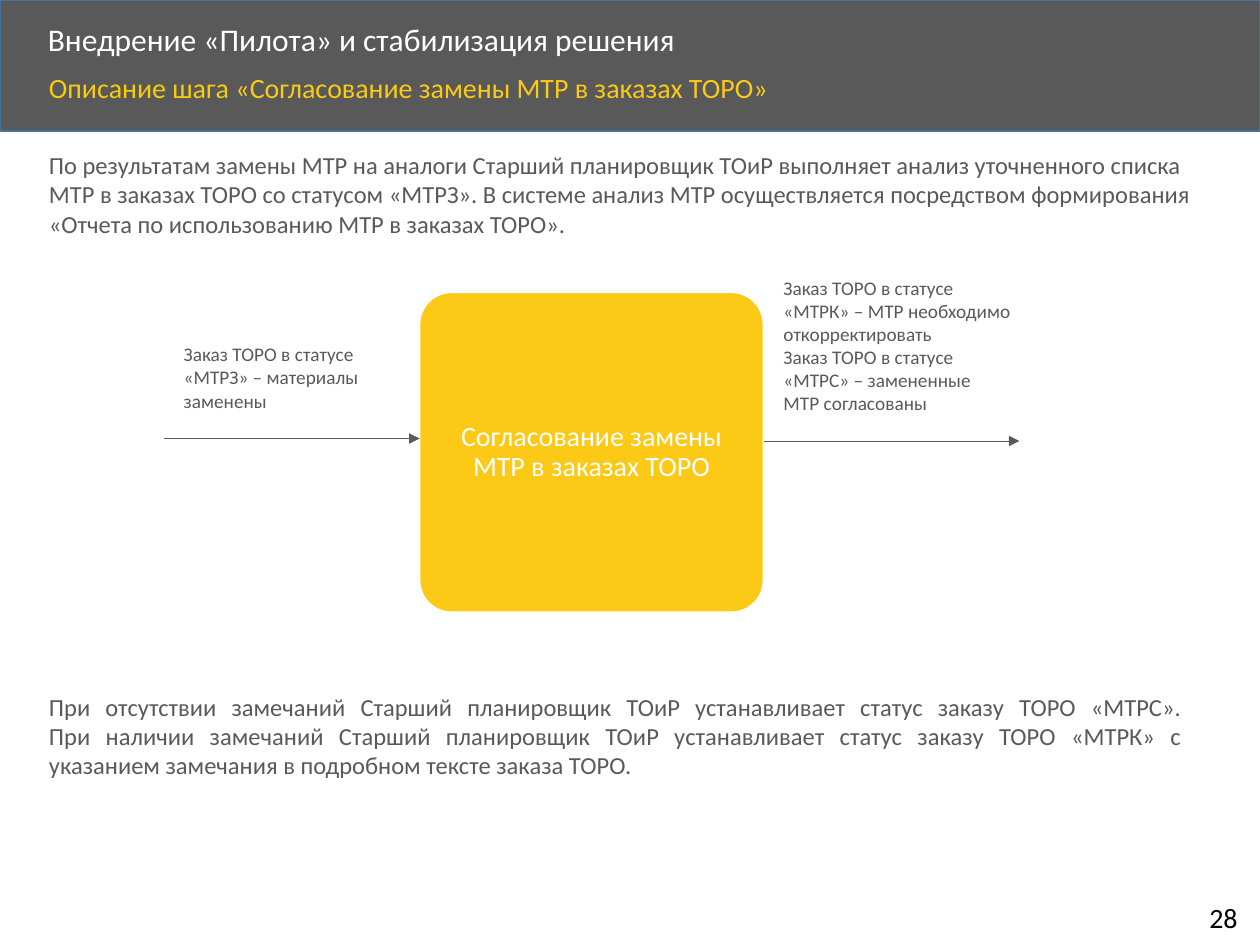
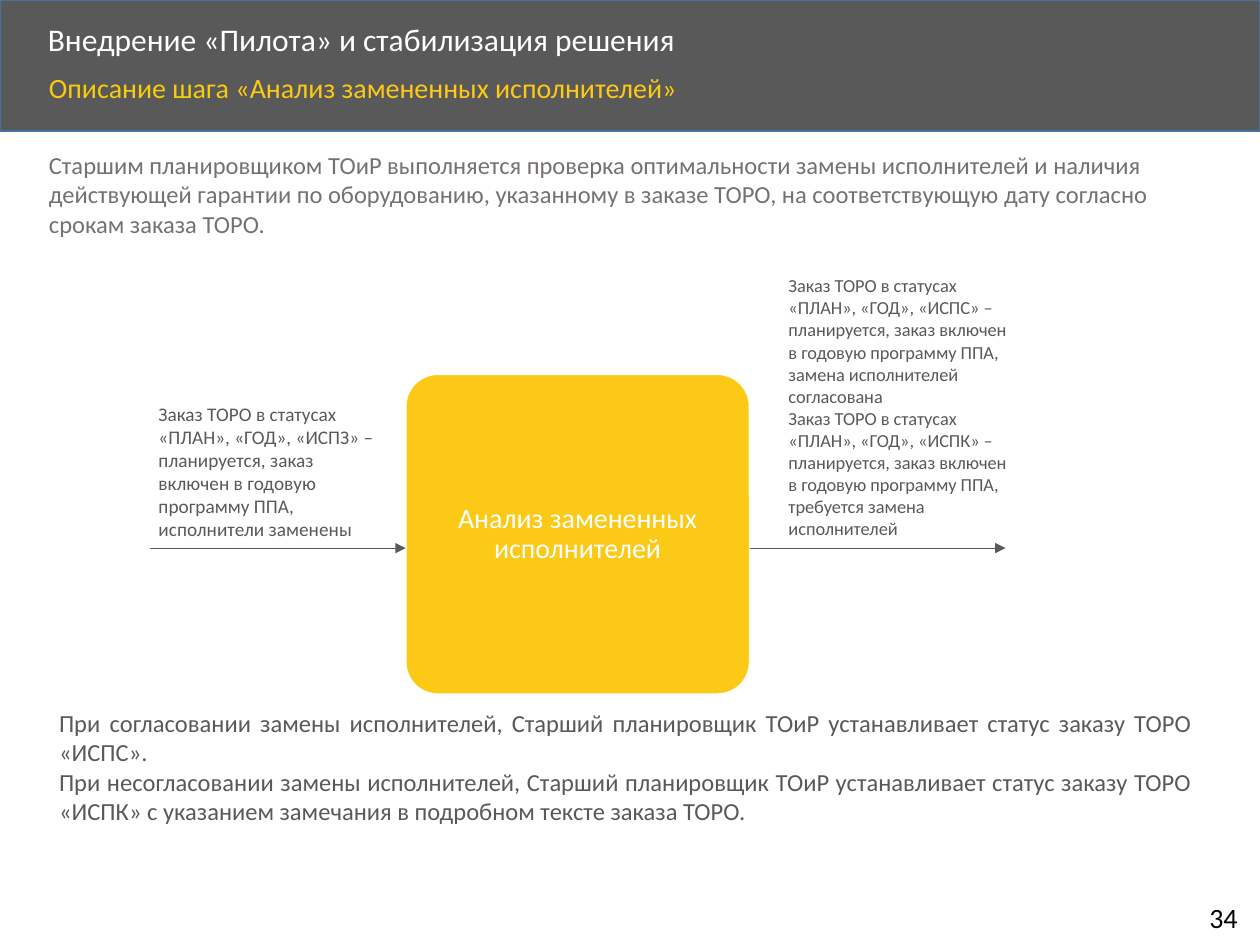
import copy
from dataclasses import dataclass
from typing import Any, NamedTuple

import pptx
import pptx.dml.color
import pptx.enum.shapes
import pptx.enum.text
import pptx.oxml
import pptx.oxml.ns
import pptx.util

Colour = pptx.dml.color.RGBColor
Align = pptx.enum.text.PP_ALIGN
Anchor = pptx.enum.text.MSO_ANCHOR
Fit = pptx.enum.text.MSO_AUTO_SIZE
Preset = pptx.enum.shapes.MSO_SHAPE

GREY = Colour(0x59, 0x59, 0x59)
WARM_GREY = Colour(0x76, 0x71, 0x71)
BLUE = Colour(0x43, 0x73, 0x9E)
YELLOW = Colour(0xFC, 0xC9, 0x17)
DARK_YELLOW = Colour(0xF6, 0xCC, 0x0C)
WHITE = Colour(0xFF, 0xFF, 0xFF)
BLACK = Colour(0, 0, 0)

FONT = "Calibri"
COLUMNS, ROWS = 100, 75
PAGE_WIDTH, PAGE_HEIGHT = pptx.util.Inches(10), pptx.util.Inches(7.5)
BLOCK_WIDTH, BLOCK_HEIGHT = 27.3, 25.4
ARROW_LENGTH = 20.3
LABEL_WIDTH = 20
BODY_WIDTH = 91.9
SECTION_TITLE = "Внедрение «Пилота» и стабилизация решения"


class Area(NamedTuple):
    """Left, top, width and height in columns and rows of the page grid."""
    left: float
    top: float
    width: float
    height: float


class Span(NamedTuple):
    text: str
    colour: Colour


@dataclass(frozen=True)
class Label:
    left: float
    top: float
    height: float
    size: float
    paragraphs: tuple[str, ...]


@dataclass(frozen=True)
class Step:
    number: str
    name: str
    intro: str
    intro_colour: Colour
    block_left: float
    block_top: float
    arrow_rows: tuple[float, float]
    incoming: Label
    outgoing: Label
    conclusion: Label


STEPS = (
    Step(
        number="28",
        name="Согласование замены МТР в заказах ТОРО",
        intro="По результатам замены МТР на аналоги Старший планировщик ТОиР выполняет "
              "анализ уточненного списка МТР в заказах ТОРО со статусом «МТРЗ». В системе "
              "анализ МТР осуществляется посредством формирования «Отчета по использованию "
              "МТР в заказах ТОРО».",
        intro_colour=GREY,
        block_left=33.3,
        block_top=23.2,
        arrow_rows=(34.8, 35),
        incoming=Label(13.6, 26.7, 6.6, 11, (
            "Заказ ТОРО в статусе «МТРЗ» – материалы заменены",)),
        outgoing=Label(61.2, 21.4, 14, 11, (
            "Заказ ТОРО в статусе «МТРК» – МТР необходимо откорректировать",
            "Заказ ТОРО в статусе «МТРС» – замененные МТР согласованы")),
        conclusion=Label(2.9, 54.4, 8.1, 14, (
            "При отсутствии замечаний Старший планировщик ТОиР устанавливает статус заказу "
            "ТОРО «МТРС».\nПри наличии замечаний Старший планировщик ТОиР устанавливает "
            "статус заказу ТОРО «МТРК» с указанием замечания в подробном тексте заказа "
            "ТОРО.",)),
    ),
    Step(
        number="34",
        name="Анализ замененных исполнителей",
        intro="Старшим планировщиком ТОиР выполняется проверка оптимальности замены "
              "исполнителей и наличия действующей гарантии по оборудованию, указанному в "
              "заказе ТОРО, на соответствующую дату согласно срокам заказа ТОРО.",
        intro_colour=WARM_GREY,
        block_left=32.2,
        block_top=29.7,
        arrow_rows=(43.5, 43.5),
        incoming=Label(11.6, 31.4, 12.1, 11, (
            "Заказ ТОРО в статусах «ПЛАН», «ГОД», «ИСПЗ» – планируется, заказ включен в "
            "годовую программу ППА, исполнители заменены",)),
        outgoing=Label(61.6, 21.3, 22.2, 10.5, (
            "Заказ ТОРО в статусах «ПЛАН», «ГОД», «ИСПС» – планируется, заказ включен в "
            "годовую программу ППА, замена исполнителей согласована",
            "Заказ ТОРО в статусах «ПЛАН», «ГОД», «ИСПК» – планируется, заказ включен в "
            "годовую программу ППА, требуется замена исполнителей")),
        conclusion=Label(3.7, 55.7, 10.4, 14, (
            "При согласовании замены исполнителей, Старший планировщик ТОиР устанавливает "
            "статус заказу ТОРО «ИСПС».",
            "При несогласовании замены исполнителей, Старший планировщик ТОиР устанавливает "
            "статус заказу ТОРО «ИСПК» с указанием замечания в подробном тексте заказа "
            "ТОРО.")),
    ),
)


def across(columns: float) -> int:
    return round(PAGE_WIDTH * columns / COLUMNS)


def down(rows: float) -> int:
    return round(PAGE_HEIGHT * rows / ROWS)


def to_lengths(area: Area) -> tuple[int, int, int, int]:
    return across(area.left), down(area.top), across(area.width), down(area.height)


def apply(target: Any, values: dict[str, Any]) -> None:
    for name, value in values.items():
        setattr(target, name, value)


def write(box: Any, paragraphs: list[list[Span]], size: float,
          paragraph_format: dict[str, Any], frame_format: dict[str, Any]) -> None:
    """Fill a shape with paragraphs of spans; a newline in a span is a line break."""
    frame = box.text_frame
    apply(frame, {"word_wrap": True, "auto_size": Fit.NONE} | frame_format)
    for index, spans in enumerate(paragraphs):
        para = frame.add_paragraph() if index else frame.paragraphs[0]
        apply(para, {"alignment": Align.LEFT} | paragraph_format)
        for span in spans:
            for line_index, line in enumerate(span.text.split("\n")):
                if line_index:
                    para.add_line_break()
                run = para.add_run()
                run.text = line
                apply(run.font, {"name": FONT, "size": pptx.util.Pt(size)})
                run.font.color.rgb = span.colour
    # Line breaks take the text size too, so that they do not stretch their line.
    run_format = box.element.find(".//" + pptx.oxml.ns.qn("a:rPr"))
    for line_break in box.element.iter(pptx.oxml.ns.qn("a:br")):
        line_break.append(copy.deepcopy(run_format))


def add_text(page: Any, area: Area, paragraphs: list[list[Span]], size: float,
             paragraph_format: dict[str, Any] | None = None,
             frame_format: dict[str, Any] | None = None) -> None:
    box = page.shapes.add_textbox(*to_lengths(area))
    write(box, paragraphs, size, paragraph_format or {}, frame_format or {})


def add_label(page: Any, label: Label, width: float, alignment: Any = Align.LEFT) -> None:
    add_text(page, Area(label.left, label.top, width, label.height),
             [[Span(text, GREY)] for text in label.paragraphs], label.size,
             {"alignment": alignment}, {"auto_size": Fit.SHAPE_TO_FIT_TEXT})


def add_panel(page: Any, preset: Any, area: Area, fill: Colour, line: Colour) -> Any:
    panel = page.shapes.add_shape(preset, *to_lengths(area))
    panel.shadow.inherit = False
    panel.fill.solid()
    panel.fill.fore_color.rgb = fill
    panel.line.color.rgb = line
    panel.line.width = pptx.util.Pt(1)
    return panel


def add_arrow(page: Any, left: float, row: float) -> None:
    arrow = page.shapes.add_connector(
        pptx.enum.shapes.MSO_CONNECTOR.STRAIGHT,
        across(left), down(row), across(left + ARROW_LENGTH), down(row))
    arrow.line.color.rgb = GREY
    arrow.line.width = pptx.util.Pt(0.5)
    properties = arrow.element.spPr
    head = pptx.oxml.parse_xml(
        f'<a:tailEnd {pptx.oxml.ns.nsdecls("a")} type="triangle"/>')
    properties.find(pptx.oxml.ns.qn("a:ln")).append(head)
    properties.append(pptx.oxml.parse_xml(
        f'<a:effectLst {pptx.oxml.ns.nsdecls("a")}/>'))


def add_frame(page: Any, step: Step) -> None:
    """Draw the header band, both heading lines and the page number."""
    band = add_panel(page, Preset.RECTANGLE, Area(0, 0, COLUMNS, 10.4), GREY, BLUE)
    title = page.shapes.title
    title.element.addprevious(band.element)
    apply(title, dict(zip(("left", "top", "width", "height"),
                          to_lengths(Area(2.8, 1.4, 80.7, 3.8)))))
    write(title, [[Span(SECTION_TITLE, WHITE)]], 18,
          {"line_spacing": 0.9}, {"vertical_anchor": Anchor.MIDDLE})
    add_text(page, Area(2.9, 5.4, 86.5, 4.5),
             [[Span("Описание шага ", DARK_YELLOW), Span(f"«{step.name}»", YELLOW)]],
             16, {"line_spacing": 0.9})
    add_text(page, Area(95, 71, 4.6, 3.7), [[Span(step.number, BLACK)]], 16,
             frame_format={"word_wrap": False, "auto_size": Fit.SHAPE_TO_FIT_TEXT})


def add_diagram(page: Any, step: Step) -> None:
    """Draw the step block with its incoming and outgoing arrows and labels."""
    block = add_panel(page, Preset.ROUNDED_RECTANGLE,
                      Area(step.block_left, step.block_top, BLOCK_WIDTH, BLOCK_HEIGHT),
                      YELLOW, WHITE)
    block.adjustments[0] = 0.1
    inset = across(0.7)
    write(block, [[Span(step.name, WHITE)]], 16,
          {"alignment": Align.CENTER, "line_spacing": 0.9},
          {"vertical_anchor": Anchor.MIDDLE, "margin_left": inset, "margin_right": inset})
    arrow_starts = (step.block_left - ARROW_LENGTH, step.block_left + BLOCK_WIDTH)
    for left, row in zip(arrow_starts, step.arrow_rows):
        add_arrow(page, left, row)
    for label in (step.incoming, step.outgoing):
        add_label(page, label, LABEL_WIDTH)


def add_step(deck: Any, step: Step) -> None:
    page = deck.slides.add_slide(deck.slide_layouts.get_by_name("Title Only"))
    add_frame(page, step)
    add_text(page, Area(2.9, 11.4, 94.6, 8.1), [[Span(step.intro, step.intro_colour)]],
             14, frame_format={"auto_size": Fit.SHAPE_TO_FIT_TEXT})
    add_diagram(page, step)
    add_label(page, step.conclusion, BODY_WIDTH, Align.JUSTIFY)


def main() -> None:
    deck = pptx.Presentation()
    apply(deck, {"slide_width": PAGE_WIDTH, "slide_height": PAGE_HEIGHT})
    for step in STEPS:
        add_step(deck, step)
    deck.save("out.pptx")


if __name__ == "__main__":
    main()
